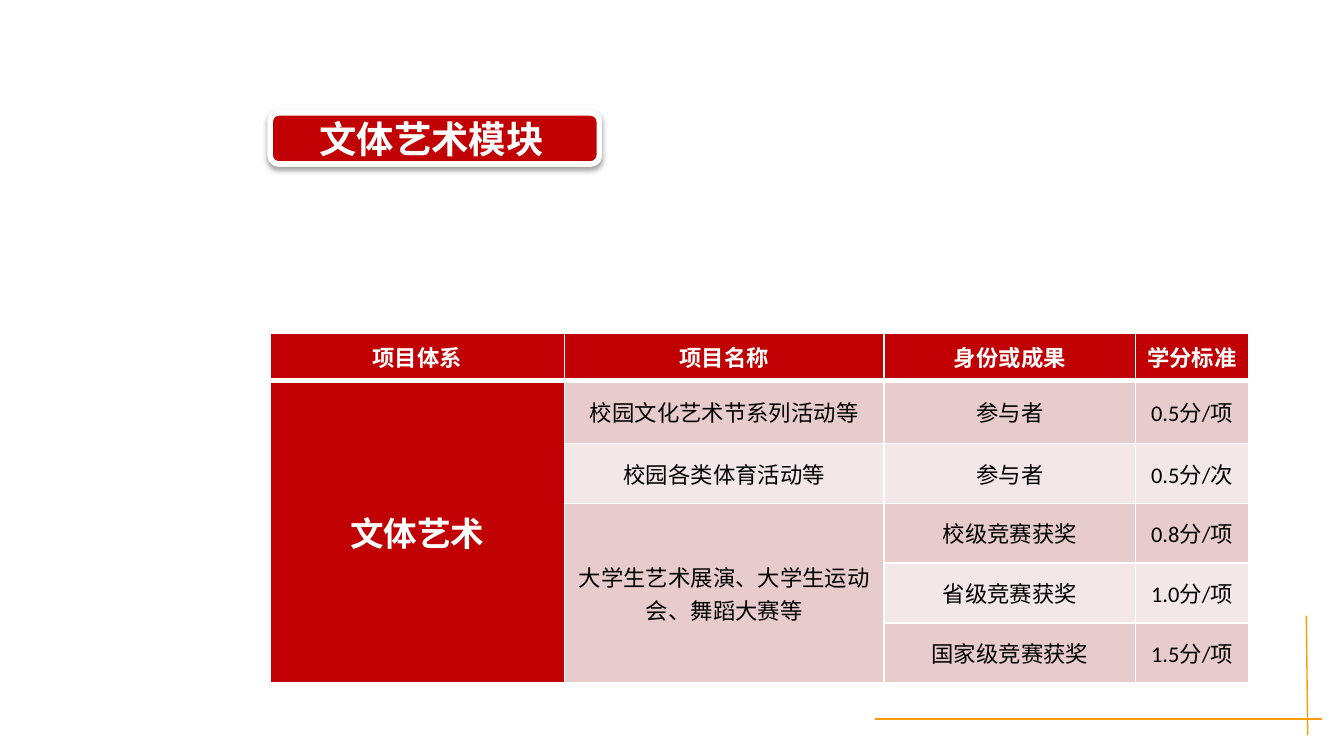
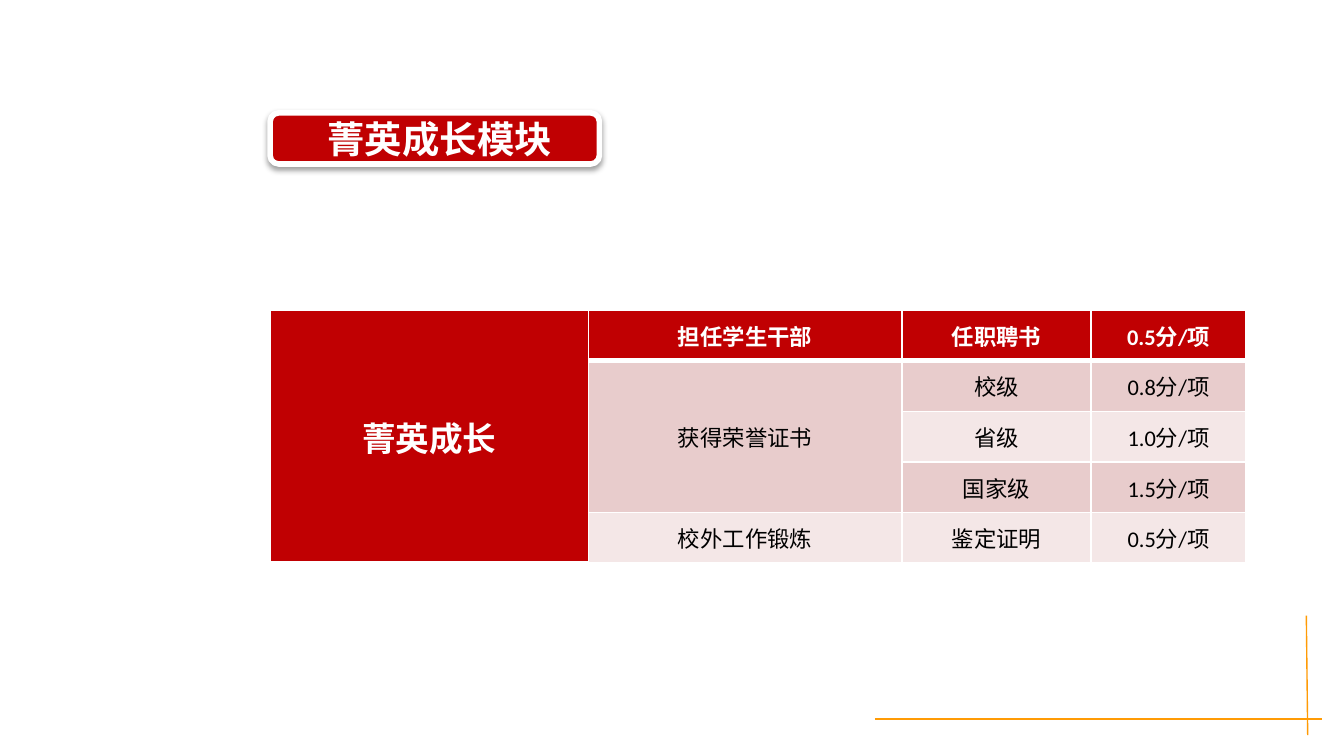
from lxml import etree
from pptx import Presentation
from pptx import oxml as ox
from pptx import util as u
from pptx.dml import color as clr
from pptx.enum import shapes, text
from pptx.oxml import ns

COLORS = {"red": "C00002", "orange": "FF9B05", "white": "FFFFFF",
          "black": "000000", "dark_band": "E8CCCC", "light_band": "F4E7E7"}
RGB = {name: clr.RGBColor.from_string(value) for name, value in COLORS.items()}
FONT = "Calibri"
NS = 'xmlns:a="http://schemas.openxmlformats.org/drawingml/2006/main"'
SHADOW = f"""<a:effectLst {NS}>
  <a:outerShdw blurRad="{u.Pt(3.1)}" dist="{u.Pt(1.6)}" dir="5400000" rotWithShape="0">
    <a:srgbClr val="{COLORS['black']}"><a:alpha val="38000"/></a:srgbClr>
  </a:outerShdw>
</a:effectLst>"""


def add_text(tf, content, size=12, color="black", bold=False, align="CENTER", indent=0):
    p = tf.paragraphs[0]
    p.alignment = getattr(text.PP_ALIGN, align)
    if indent:
        p._p.get_or_add_pPr().set("marL", str(u.Inches(indent)))
    r = p.add_run()
    r.text = content
    r.font.name, r.font.size, r.font.bold = FONT, u.Pt(size), bold
    r.font.color.rgb = RGB[color]


def add_borders(cell, **widths):
    tc_pr = cell._tc.get_or_add_tcPr()
    for side in "LRTB":
        tc_pr.append(ox.parse_xml(
            f'<a:ln{side} {NS} w="{u.Pt(widths.get(side, 1))}"><a:solidFill>'
            f'<a:srgbClr val="{COLORS["white"]}"/></a:solidFill></a:ln{side}>'))


# Content: None marks a cell covered by the one above it
slides = [
    {"title": "文体艺术模块", "indent": 0.25, "top": 2.48, "inset": 0.07,
     "cols": [2.19, 2.38, 1.87, 0.84],
     "heights": [0.35, 0.47] + [0.24] * 4,
     "rows": [["项目体系", "项目名称", "身份或成果", "学分标准"],
              ["文体艺术", "校园文化艺术节系列活动等", "参与者", "0.5分/项"],
              [None, "校园各类体育活动等", "参与者", "0.5分/次"],
              [None, "大学生艺术展演、大学生运动会、舞蹈大赛等", "校级竞赛获奖", "0.8分/项"],
              [None, None, "省级竞赛获奖", "1.0分/项"],
              [None, None, "国家级竞赛获奖", "1.5分/项"]]},
    {"title": "菁英成长模块", "indent": 0.31, "top": 2.31, "inset": 0.08,
     "cols": [2.37, 2.33, 1.41, 1.15],
     "heights": [1.88 / 5] * 5,
     "rows": [["菁英成长", "担任学生干部", "任职聘书", "0.5分/项"],
              [None, "获得荣誉证书", "校级", "0.8分/项"],
              [None, None, "省级", "1.0分/项"],
              [None, None, "国家级", "1.5分/项"],
              [None, "校外工作锻炼", "鉴定证明", "0.5分/项"]]},
]
corner_lines = [(6.51, 5.35, 9.84, 5.35), (9.72, 4.58, 9.73, 5.47)]

# Widescreen page, 16:9
prs = Presentation()
prs.slide_width = u.Inches(10)
prs.slide_height = u.Inches(10 * 9 / 16)

for data in slides:
    s = prs.slides.add_slide(prs.slide_layouts[6])

    # Corner lines
    for ends in corner_lines:
        line = s.shapes.add_connector(shapes.MSO_CONNECTOR.STRAIGHT, *map(u.Inches, ends))
        line.line.color.rgb = RGB["orange"]
        line.line.width = u.Pt(0.75)
        etree.SubElement(line._element.spPr, ns.qn("a:effectLst"))

    # Title plate
    sp = s.shapes.add_shape(shapes.MSO_SHAPE.ROUNDED_RECTANGLE,
                            u.Inches(2.01), u.Inches(0.84), u.Inches(2.45), u.Inches(0.38))
    sp.fill.solid()
    sp.fill.fore_color.rgb = RGB["red"]
    sp.line.color.rgb = RGB["white"]
    sp.line.width = u.Pt(3)
    sp._element.spPr.append(ox.parse_xml(SHADOW))
    sp.text_frame.vertical_anchor = text.MSO_ANCHOR.MIDDLE
    add_text(sp.text_frame, data["title"], size=20, color="white", bold=True,
             align="LEFT", indent=data["indent"])

    # Credit table
    rows, cols, heights = data["rows"], data["cols"], data["heights"]
    table = s.shapes.add_table(len(rows), len(cols), u.Inches(2.01), u.Inches(data["top"]),
                               u.Inches(sum(cols)), u.Inches(sum(heights))).table
    for column, width in zip(table.columns, cols):
        column.width = u.Inches(width)
    for row, height in zip(table.rows, heights):
        row.height = u.Inches(height)

    for i, row in enumerate(rows):
        for j, content in enumerate(row):
            cell = table.cell(i, j)
            add_borders(cell, B=3 if i == 0 else 1, T=3 if i == 1 else 1)
            strong = i == 0 or j == 0
            band = "dark_band" if i % 2 else "light_band"
            cell.fill.solid()
            cell.fill.fore_color.rgb = RGB["red" if strong else band]
            cell.vertical_anchor = text.MSO_ANCHOR.MIDDLE
            cell.margin_left = cell.margin_right = u.Inches(data["inset"])
            cell.margin_top = cell.margin_bottom = 0
            if content is None:
                continue
            last = i
            while last + 1 < len(rows) and rows[last + 1][j] is None:
                last += 1
            if last > i:
                cell.merge(table.cell(last, j))
            add_text(cell.text_frame, content, size=18 if j == 0 and last > i else 12,
                     color="white" if strong else "black", bold=strong)

prs.save("out.pptx")
